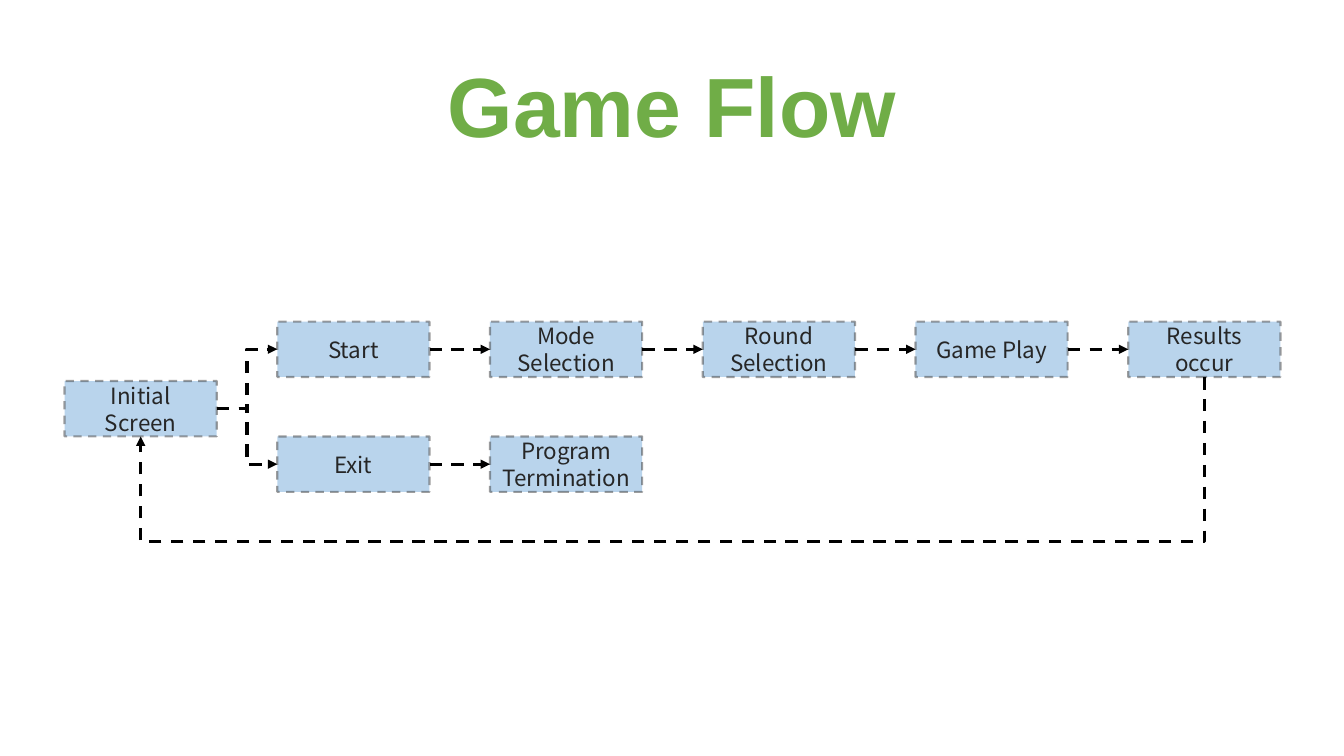
from lxml import etree
from pptx import Presentation
from pptx.dml.color import RGBColor
from pptx.enum.dml import MSO_LINE
from pptx.enum.shapes import MSO_CONNECTOR, MSO_SHAPE
from pptx.enum.text import MSO_ANCHOR, MSO_AUTO_SIZE, PP_ALIGN
from pptx.oxml.ns import qn
from pptx.util import Inches, Pt

RECT = MSO_SHAPE.RECTANGLE
STRAIGHT, ELBOW = MSO_CONNECTOR.STRAIGHT, MSO_CONNECTOR.ELBOW
DASH = MSO_LINE.DASH
CENTER, MIDDLE = PP_ALIGN.CENTER, MSO_ANCHOR.MIDDLE
GROW = MSO_AUTO_SIZE.SHAPE_TO_FIT_TEXT

# Connection sites of a rectangle
LEFT, BOTTOM, RIGHT = 1, 2, 3

# Flow grid, in inches
GRID_X, COL_STEP = 0.64, 2.11
ROW_Y = {"upper": 3.19, "middle": 3.78, "lower": 4.33}
BOX_W, BOX_H = 1.51, 0.55
RETURN_Y = 5.37

STEPS = {  # text: (column, row)
    "Initial Screen": (0, "middle"),
    "Start": (1, "upper"),
    "Exit": (1, "lower"),
    "Program Termination": (2, "lower"),
    "Mode Selection": (2, "upper"),
    "Round Selection": (3, "upper"),
    "Game Play": (4, "upper"),
    "Results occur": (5, "upper"),
}
BRANCHES = [("Initial Screen", "Start"), ("Initial Screen", "Exit")]
ARROWS = [
    ("Exit", "Program Termination"),
    ("Start", "Mode Selection"),
    ("Mode Selection", "Round Selection"),
    ("Round Selection", "Game Play"),
    ("Game Play", "Results occur"),
]


def rgb(color):
    return RGBColor.from_string(color)


def set_alpha(fill_parent, percent):
    """Make the solid fill under an element partly transparent."""
    color = fill_parent.find(qn("a:solidFill"))[0]
    etree.SubElement(color, qn("a:alpha"), val=str(percent * 1000))


def set_line(line, color, width):
    line.color.rgb = rgb(color)
    line.width = Pt(width)
    line.dash_style = DASH


def add_text(tf, text, font, size, color, bold=False):
    p = tf.paragraphs[0]
    p.alignment = CENTER
    r = p.add_run()
    r.text = text
    r.font.name, r.font.size, r.font.bold = font, Pt(size), bold
    r.font.color.rgb = rgb(color)
    # East Asian text uses the same font
    etree.SubElement(r.font._element, qn("a:ea"), typeface=font)


def add_title(s, text):
    tb = s.shapes.add_textbox(Inches(4.32), Inches(0.48), Inches(4.69), Inches(1.11))
    tf = tb.text_frame
    tf.word_wrap = False
    tf.auto_size = GROW
    add_text(tf, text, font="Arial", size=60, color="70AD47", bold=True)


def add_step(s, text, col, row):
    sp = s.shapes.add_shape(RECT, Inches(GRID_X + col * COL_STEP), Inches(ROW_Y[row]),
                            Inches(BOX_W), Inches(BOX_H))
    sp.shadow.inherit = False
    sp.fill.solid()
    sp.fill.fore_color.rgb = rgb("9CC2E5")
    set_alpha(sp._element.spPr, 70)
    set_line(sp.line, "3F3F3F", 1.5)
    set_alpha(sp.line._get_or_add_ln(), 50)
    sp.text_frame.word_wrap = True
    sp.text_frame.vertical_anchor = MIDDLE
    add_text(sp.text_frame, text, font="Noto Sans CJK KR", size=16, color="262626")
    return sp


def add_arrow(s, kind, start, end, start_site=RIGHT, end_site=LEFT):
    c = s.shapes.add_connector(kind, 0, 0, 0, 0)
    c.begin_connect(start, start_site)
    c.end_connect(end, end_site)
    set_line(c.line, "000000", 2.25)
    etree.SubElement(c.line._get_or_add_ln(), qn("a:tailEnd"), type="triangle")
    etree.SubElement(c._element.spPr, qn("a:effectLst"))
    return c


def add_return(s, start, end):
    """Lead from the bottom of start, under all steps, to the bottom of end."""
    c = add_arrow(s, ELBOW, start, end, BOTTOM, BOTTOM)
    # A quarter turn swaps the sides of the connector around its centre
    mid_x, mid_y = c.left + c.width // 2, c.top + c.height // 2
    drop, run = abs(c.end_y - c.begin_y), abs(c.end_x - c.begin_x)
    bend = (Inches(RETURN_Y) - c.begin_y) / drop
    c.left, c.top = mid_x - drop // 2, mid_y - run // 2
    c.width, c.height = drop, run
    xfrm = c._element.spPr.find(qn("a:xfrm"))
    xfrm.attrib.pop("flipH", None)
    xfrm.set("rot", str(90 * 60000))
    guides = c._element.spPr.find(qn("a:prstGeom")).find(qn("a:avLst"))
    etree.SubElement(guides, qn("a:gd"), name="adj1", fmla=f"val {round(bend * 100000)}")


def main():
    prs = Presentation()
    prs.slide_width, prs.slide_height = Inches(13.33), Inches(7.5)
    s = prs.slides.add_slide(prs.slide_layouts[6])

    # Steps of the game
    steps = {text: add_step(s, text, *cell) for text, cell in STEPS.items()}

    # Arrows between the steps
    for kind, pairs in ((ELBOW, BRANCHES), (STRAIGHT, ARROWS)):
        for start, end in pairs:
            add_arrow(s, kind, steps[start], steps[end])
    add_return(s, steps["Results occur"], steps["Initial Screen"])

    add_title(s, "Game Flow")
    prs.save("out.pptx")


if __name__ == "__main__":
    main()
